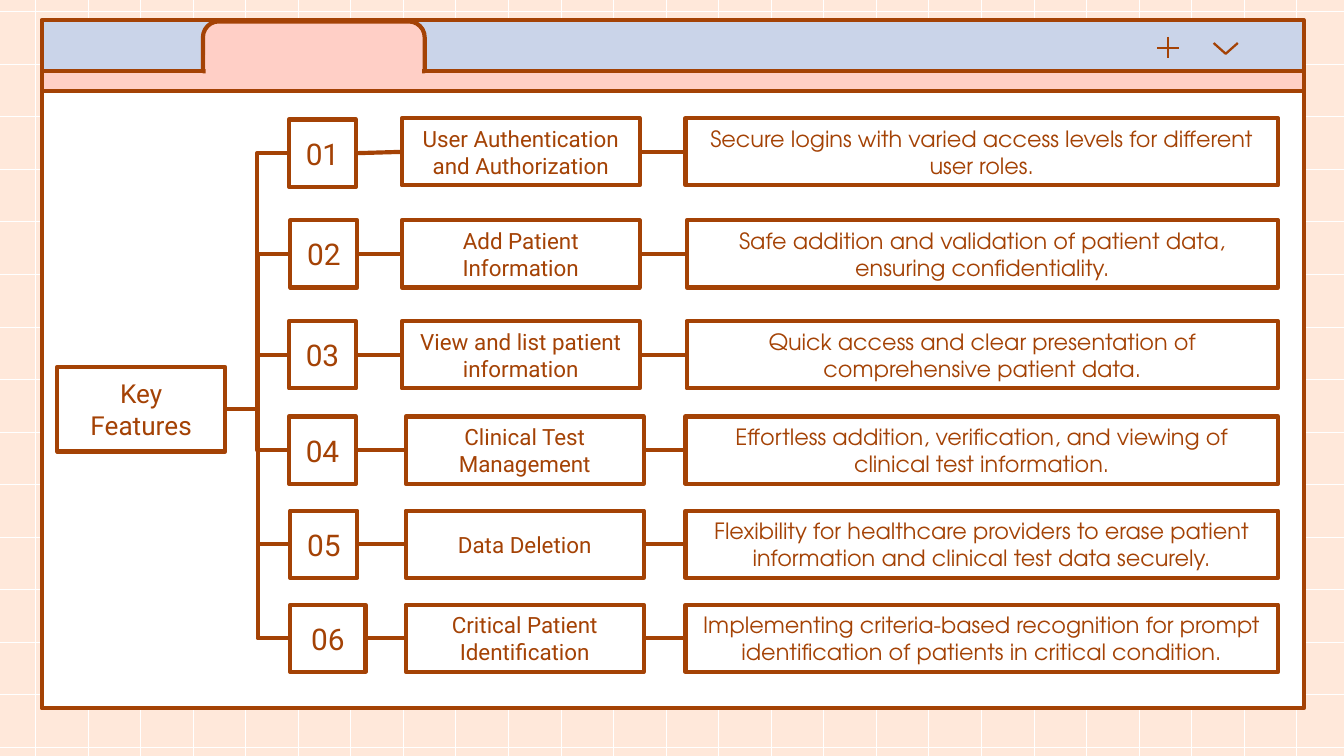
import dataclasses
import typing

import pptx
import pptx.dml.color
import pptx.enum.shapes
import pptx.enum.text
import pptx.oxml.ns
import pptx.util
from lxml import etree

RGB = pptx.dml.color.RGBColor
KIND = pptx.enum.shapes.MSO_SHAPE
LINK = pptx.enum.shapes.MSO_CONNECTOR

BROWN = RGB(0xA4, 0x42, 0x05)
PEACH = RGB(0xFF, 0xE8, 0xDA)
PINK = RGB(0xFF, 0xCF, 0xC6)
BLUE = RGB(0xCA, 0xD4, 0xE9)
WHITE = RGB(0xFF, 0xFF, 0xFF)

BODY = "Roboto"
ROUND = "TeX Gyre Adventor"
THICK, THIN, HAIR = 2.25, 1.21, 0.45

WIDE, HIGH = 100, 56.25
STEP = 3.91
CELL = pptx.util.Inches(10) / WIDE


@dataclasses.dataclass(frozen=True)
class Box:
    left: float
    top: float
    width: float
    height: float

    @property
    def right(self) -> float:
        return self.left + self.width

    @property
    def mid(self) -> float:
        return self.top + self.height / 2


@dataclasses.dataclass(frozen=True)
class Row:
    top: float
    topic: str
    detail: str
    num_left: float = 21.5
    num_width: float = 5
    num_drop: float = 0
    topic_left: float = 30.2
    detail_left: float = 51


ROWS = (
    Row(8.8, "User Authentication and Authorization",
        "Secure logins with varied access levels for different user roles.",
        num_drop=0.1, topic_left=29.9),
    Row(16.4, "Add Patient Information",
        "Safe addition and validation of patient data, ensuring confidentiality.",
        num_left=21.6, topic_left=29.9, detail_left=51.1),
    Row(23.9, "View and list patient information",
        "Quick access and clear presentation of comprehensive patient data.",
        topic_left=29.9, detail_left=51.1),
    Row(31, "Clinical Test Management",
        "Effortless addition, verification, and viewing of clinical test information."),
    Row(38, "Data Deletion",
        "Flexibility for healthcare providers to erase patient information "
        "and clinical test data securely.", num_left=21.6),
    Row(45, "Critical Patient Identification",
        "Implementing criteria-based recognition for prompt identification "
        "of patients in critical condition.", num_left=21.6, num_width=5.6),
)
ROOT = Box(4.25, 27.3, 12.5, 6.3)
EDGE = 95.1


def span(cells: float) -> int:
    return round(cells * CELL)


def draw(slide: typing.Any, box: Box, fill: RGB | None = None,
         edge: bool = True, kind: KIND = KIND.RECTANGLE) -> typing.Any:
    shape = slide.shapes.add_shape(
        kind, span(box.left), span(box.top), span(box.width), span(box.height))
    shape.shadow.inherit = False
    if fill is None:
        shape.fill.background()
    else:
        shape.fill.solid()
        shape.fill.fore_color.rgb = fill
    if edge:
        shape.line.color.rgb = BROWN
        shape.line.width = pptx.util.Pt(THICK)
    else:
        shape.line.fill.background()
    return shape


def write(shape: typing.Any, text: str, *, size: float = 12,
          font: str = BODY, color: RGB = BROWN) -> None:
    frame = shape.text_frame
    frame.word_wrap = True
    frame.vertical_anchor = pptx.enum.text.MSO_ANCHOR.MIDDLE
    frame.margin_left = frame.margin_right = span(1)
    frame.margin_top = frame.margin_bottom = span(1)
    para = frame.paragraphs[0]
    para.alignment = pptx.enum.text.PP_ALIGN.CENTER
    run = para.add_run()
    run.text = text
    run.font.size = pptx.util.Pt(size)
    run.font.name = font
    run.font.color.rgb = color


def join(slide: typing.Any, x1: float, y1: float, x2: float, y2: float,
         color: RGB = BROWN, width: float = THICK,
         kind: LINK = LINK.STRAIGHT) -> None:
    line = slide.shapes.add_connector(
        kind, span(x1), span(y1), span(x2), span(y2))
    line.line.color.rgb = color
    line.line.width = pptx.util.Pt(width)
    etree.SubElement(line._element.spPr, pptx.oxml.ns.qn("a:effectLst"))


def grid(slide: typing.Any) -> None:
    for col in range(25):
        left = 2.64 + col * STEP
        join(slide, left, 0, left, HIGH, WHITE, HAIR)
    for row in range(15):
        top = 0.87 + row * STEP
        join(slide, 0, top, WIDE, top, WHITE, HAIR)


def window(slide: typing.Any) -> None:
    draw(slide, Box(3.1, 6.8, 93.9, 45.9), WHITE)
    draw(slide, Box(3.1, 1.5, 93.9, 3.8), BLUE)
    draw(slide, Box(3.1, 5.3, 93.9, 1.5), PINK)
    pen = slide.shapes.build_freeform(span(90.3), span(3.2))
    pen.add_line_segments(
        [(span(91.2), span(4)), (span(92.1), span(3.2))], close=False)
    arrow = pen.convert_to_shape()
    arrow.shadow.inherit = False
    arrow.fill.background()
    arrow.line.color.rgb = BROWN
    arrow.line.width = pptx.util.Pt(THIN)
    join(slide, 86.9, 2.75, 86.9, 4.35, width=THIN)
    join(slide, 86.1, 3.55, 87.7, 3.55, width=THIN)
    tab = draw(slide, Box(15.1, 1.6, 16.5, 3.7), PINK,
               kind=KIND.ROUND_2_SAME_RECTANGLE)
    tab.adjustments[0] = 0.32
    draw(slide, Box(15.3, 4.1, 16.1, 1.5), PINK, edge=False)


def feature(slide: typing.Any, row: Row, index: int) -> None:
    num = Box(row.num_left, row.top + row.num_drop, row.num_width, 5)
    topic = Box(row.topic_left, row.top, 17.7, 5)
    detail = Box(row.detail_left, row.top, EDGE - row.detail_left, 5)
    join(slide, ROOT.right, ROOT.mid, num.left, num.mid, kind=LINK.ELBOW)
    join(slide, num.right, num.mid, topic.left, topic.mid)
    join(slide, topic.right, topic.mid, detail.left, detail.mid)
    write(draw(slide, num), f"{index:02}", size=16)
    write(draw(slide, topic), row.topic)
    write(draw(slide, detail), row.detail, font=ROUND)


def main() -> None:
    deck = pptx.Presentation()
    deck.slide_width = span(WIDE)
    deck.slide_height = span(HIGH)
    slide = deck.slides.add_slide(deck.slide_layouts[6])
    back = slide.background.fill
    back.solid()
    back.fore_color.rgb = PEACH
    grid(slide)
    window(slide)
    write(draw(slide, ROOT), "Key Features", size=14)
    for index, row in enumerate(ROWS, 1):
        feature(slide, row, index)
    deck.save("out.pptx")


if __name__ == "__main__":
    main()
